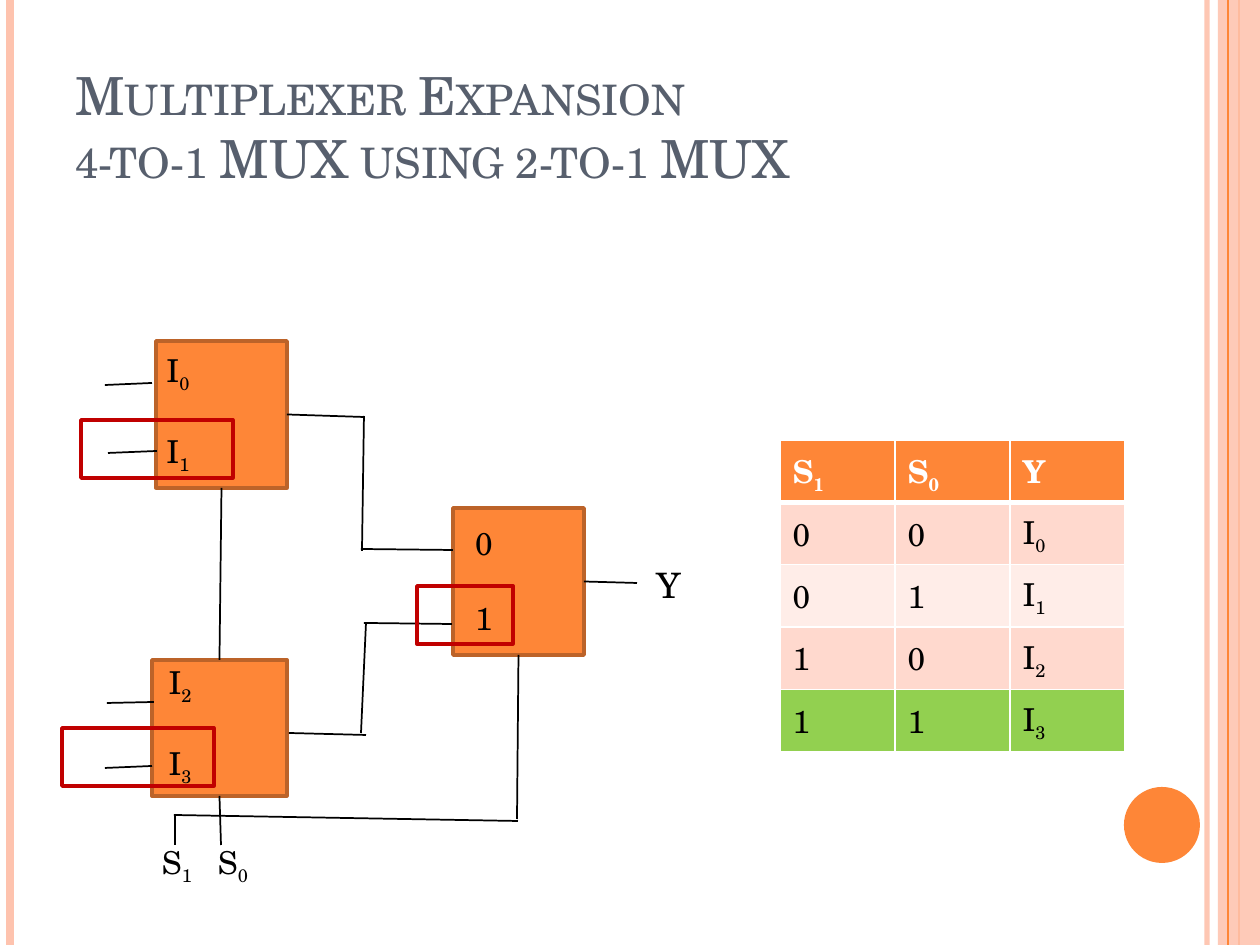
from lxml.etree import SubElement
from pptx import Presentation
from pptx.dml.color import RGBColor
from pptx.enum.shapes import MSO_CONNECTOR as LINK, MSO_SHAPE as SHAPE
from pptx.enum.text import MSO_ANCHOR as ANCHOR, PP_ALIGN as ALIGN
from pptx.oxml.ns import qn
from pptx.util import Emu, Pt

COLORS = {
    "orange": "FE8637", "edge": "BC6329", "peach": "FEC3AE",
    "slate": "575F6D", "black": "000000", "white": "FFFFFF",
    "red": "C00000", "green": "92D050", "band": "FFD9CE", "pale": "FFEDE8",
}
FONT = "TeX Gyre Schola"
TOP, LEFT, BOTTOM, RIGHT = range(4)


def px(value):
    return Emu(round(value * 914400 / 126))


def color(name):
    return RGBColor.from_string(COLORS[name])


class Page:
    def __init__(self, deck):
        self.shapes = deck.slides.add_slide(deck.slide_layouts[6]).shapes

    def fade(self, shape, percent):
        for tint in shape._element.spPr.iter(qn("a:srgbClr")):
            SubElement(tint, qn("a:alpha"), val=str(percent * 1000))

    def shape(self, kind, area, fill=None, line=None):
        shape = self.shapes.add_shape(kind, *map(px, area))
        shape.shadow.inherit = False
        if fill:
            shape.fill.solid()
            shape.fill.fore_color.rgb = color(fill)
        else:
            shape.fill.background()
        if line:
            shape.line.color.rgb = color(line)
            shape.line.width = Pt(2)
        else:
            shape.line.fill.background()
        return shape

    def wire(self, start, end, begin=None, finish=None, tint="black", width=1):
        wire = self.shapes.add_connector(LINK.STRAIGHT, *map(px, start + end))
        wire.line.color.rgb = color(tint)
        wire.line.width = Pt(width)
        SubElement(wire._element.spPr, qn("a:effectLst"))
        if begin:
            wire.begin_connect(*begin)
        if finish:
            wire.end_connect(*finish)
        return wire

    def symbol(self, para, text, size, tint, bold=False):
        para.font.name = FONT
        para.font.size = Pt(size)
        para.font.bold = bold
        para.font.color.rgb = color(tint)
        base, _, index = text.partition("_")
        para.add_run().text = base
        if index:
            span = para.add_run()
            span.text = index
            span.font._element.set("baseline", "-25000")

    def title(self, lines, area):
        frame = self.shapes.add_textbox(*map(px, area)).text_frame
        frame.word_wrap = True
        frame.vertical_anchor = ANCHOR.BOTTOM
        para = frame.paragraphs[0]
        para.font.name = FONT
        para.font.size = Pt(30)
        para.font.color.rgb = color("slate")
        for number, line in enumerate(lines):
            if number:
                para.add_line_break()
            span = para.add_run()
            span.text = line
            span.font._element.set("cap", "small")

    def label(self, text, x, y, size=18):
        frame = self.shapes.add_textbox(px(x - 30), px(y - 20), px(60), px(40)).text_frame
        frame.word_wrap = True
        frame.vertical_anchor = ANCHOR.MIDDLE
        frame.margin_left = frame.margin_right = 0
        frame.margin_top = frame.margin_bottom = 0
        para = frame.paragraphs[0]
        para.alignment = ALIGN.CENTER
        self.symbol(para, text, size, "black")

    def border(self, cell, bottom):
        holder = cell._tc.get_or_add_tcPr()
        for side, width in (("L", 1), ("R", 1), ("T", 1), ("B", bottom)):
            line = SubElement(holder, qn(f"a:ln{side}"), w=str(int(Pt(width))))
            fill = SubElement(line, qn("a:solidFill"))
            SubElement(fill, qn("a:srgbClr"), val=COLORS["white"])

    def table(self, rows, fills, area):
        table = self.shapes.add_table(len(rows), len(rows[0]), *map(px, area)).table
        for row, (texts, fill) in enumerate(zip(rows, fills)):
            header = row == 0
            for column, text in enumerate(texts):
                cell = table.cell(row, column)
                self.border(cell, 3 if header else 1)
                cell.fill.solid()
                cell.fill.fore_color.rgb = color(fill)
                cell.vertical_anchor = ANCHOR.MIDDLE
                self.symbol(cell.text_frame.paragraphs[0], text, 18,
                            "white" if header else "black", header)


def main():
    deck = Presentation()
    deck.slide_width, deck.slide_height = px(1260), px(945)
    page = Page(deck)

    page.fade(page.wire((1207, 0), (1207, 945), tint="peach", width=3), 93)
    page.wire((10, 0), (10, 945), tint="peach", width=4.5)
    page.wire((1239, 0), (1239, 945), tint="orange", width=1.5)
    page.fade(page.shape(SHAPE.RECTANGLE, (1218, 0, 42, 945), "peach"), 87)
    page.wire((1228, 0), (1228, 945), tint="orange", width=0.75)
    page.shape(SHAPE.OVAL, (1124, 787, 76, 76), "orange")

    page.title(["Multiplexer Expansion", "4-to-1 MUX using 2-to-1 MUX"],
               (63, 38, 1061, 157))
    page.table(
        [["S_1", "S_0", "Y"], ["0", "0", "I_0"], ["0", "1", "I_1"],
         ["1", "0", "I_2"], ["1", "1", "I_3"]],
        ["orange", "band", "pale", "band", "green"], (780, 440, 345, 312))

    upper, lower, final = [
        page.shape(SHAPE.RECTANGLE, area, "orange", "edge")
        for area in ((156, 341, 131, 147), (152, 660, 135, 136), (453, 508, 131, 147))]

    for start, end in (
            ((105, 385), (152, 383)), ((108, 453), (157, 451)),
            ((107, 703), (154, 702)), ((105, 768), (152, 766)),
            ((289, 733), (366, 735)), ((364, 416), (362, 551)),
            ((361, 549), (453, 550)), ((361, 733), (366, 623)),
            ((364, 623), (452, 624)), ((518, 821), (174, 815)),
            ((175, 814), (175, 845))):
        page.wire(start, end)
    page.wire((221, 488), (219, 660), (upper, BOTTOM), (lower, TOP))
    page.wire((221, 845), (219, 796), finish=(lower, BOTTOM))
    page.wire((287, 415), (364, 417), (upper, RIGHT))
    page.wire((519, 655), (517, 819), (final, BOTTOM))
    page.wire((584, 581), (637, 583), (final, RIGHT))

    for text, x, y in (
            ("I_0", 178, 373), ("I_1", 178, 454), ("I_2", 180, 685),
            ("I_3", 180, 766), ("0", 484, 543), ("1", 484, 618),
            ("S_1", 177, 865), ("S_0", 233, 865)):
        page.label(text, x, y)
    page.label("Y", 669, 585, 20)

    for area in ((81, 420, 152, 58), (62, 728, 152, 58), (417, 586, 96, 58)):
        page.shape(SHAPE.RECTANGLE, area, line="red")

    deck.save("out.pptx")


if __name__ == "__main__":
    main()
